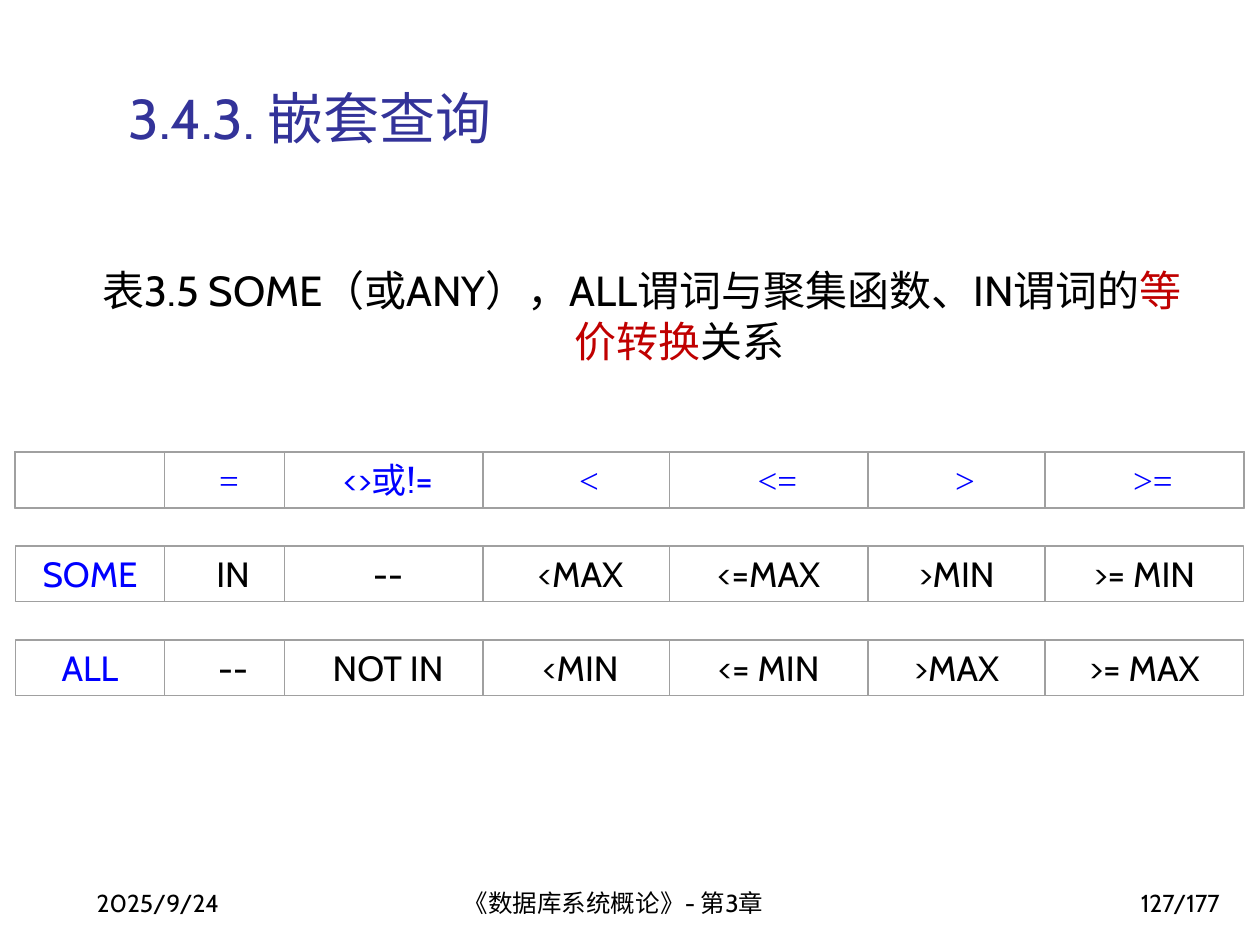
import itertools

import pptx
import pptx.dml.color
import pptx.enum.shapes
import pptx.enum.text
import pptx.util

Cm = pptx.util.Cm
Pt = pptx.util.Pt
ALIGN = pptx.enum.text.PP_ALIGN
ANCHOR = pptx.enum.text.MSO_ANCHOR

BLACK = pptx.dml.color.RGBColor(0x00, 0x00, 0x00)
BLUE = pptx.dml.color.RGBColor(0x00, 0x00, 0xFF)
RED = pptx.dml.color.RGBColor(0xC0, 0x00, 0x00)
INDIGO = pptx.dml.color.RGBColor(0x33, 0x33, 0x99)
GRAY = pptx.dml.color.RGBColor(0xA0, 0xA0, 0xA0)

SANS = "Cabin"
SERIF = "Times New Roman"

COLUMN_WIDTHS = [3.01, 2.42, 4, 3.76, 4, 3.57, 4]
ROW_HEIGHT = 1.12
ROW_PITCH = 1.89
CELL_GAP = 0.26
SIDE_INSET = 0.25
INSET_STEP = 0.17
HEADER_INSETS = [0, 1, 1, 3, 2, 2, 2]
BODY_INSETS = [0, 2, 1, 1, 0, 0, 0]
HEADER = ["", "=", "<>或!=", "<", "<=", ">", ">="]
BODY = [
    ["SOME", "IN", "--", "<MAX", "<=MAX", ">MIN", ">= MIN"],
    ["ALL", "--", "NOT IN", "<MIN", "<= MIN", ">MAX", ">= MAX"],
]


def add_text(page, box, spans, size=14, font=SANS, align=ALIGN.LEFT,
             anchor=ANCHOR.BOTTOM, hanging=0, inset=0):
    frame = page.shapes.add_textbox(*(Cm(length) for length in box)).text_frame
    frame.word_wrap = True
    frame.vertical_anchor = anchor
    frame.margin_left = Cm(SIDE_INSET + inset)
    frame.margin_right = Cm(SIDE_INSET)
    para = frame.paragraphs[0]
    para.alignment = align
    if hanging:
        properties = para._p.get_or_add_pPr()
        properties.set("marL", str(Cm(hanging)))
        properties.set("indent", str(-Cm(hanging)))
    for text, color in spans:
        span = para.add_run()
        span.text = text
        span.font.size = Pt(size)
        span.font.name = font
        span.font.color.rgb = color


def add_frame(page, box, line_width=0):
    frame = page.shapes.add_shape(
        pptx.enum.shapes.MSO_SHAPE.RECTANGLE, *(Cm(length) for length in box))
    frame.shadow.inherit = False
    frame.fill.background()
    frame.line.color.rgb = GRAY
    frame.line.width = Pt(line_width)


def add_cell(page, box, text, color, font, inset):
    left, top, width, height = box
    if text:
        add_text(page, (left + CELL_GAP, top, width - 2 * CELL_GAP, height),
                 [(text, color)], size=20, font=font, align=ALIGN.CENTER,
                 anchor=ANCHOR.TOP, inset=inset * INSET_STEP)
    add_frame(page, box)


def add_conversions(page, left, top):
    offsets = list(itertools.accumulate(COLUMN_WIDTHS, initial=left))
    for row, texts in enumerate([HEADER] + BODY):
        insets = BODY_INSETS if row else HEADER_INSETS
        for column, (text, inset) in enumerate(zip(texts, insets)):
            add_cell(
                page,
                (offsets[column], top + row * ROW_PITCH, COLUMN_WIDTHS[column], ROW_HEIGHT),
                text,
                color=BLACK if row and column else BLUE,
                font=SANS if row or "或" in text else SERIF,
                inset=inset,
            )
    add_frame(page, (left - 0.02, top - 0.02, sum(COLUMN_WIDTHS) + 0.04, ROW_HEIGHT + 0.02),
              line_width=0.87)


def add_footer(page, top, height):
    for left, width, text, align in [
        (1.7, 5.28, "2025/9/24", ALIGN.LEFT),
        (9.1, 8.05, "《数据库系统概论》- 第3章", ALIGN.LEFT),
        (19.56, 5.28, "127/177", ALIGN.RIGHT),
    ]:
        add_text(page, (left, top, width, height), [(text, BLACK)], align=align)


def main():
    deck = pptx.Presentation()
    deck.slide_width = Cm(25.4)
    deck.slide_height = Cm(19.05)
    page = deck.slides.add_slide(deck.slide_layouts[6])
    add_text(page, (2.34, 1.05, 22.5, 2.11), [("3.4.3. 嵌套查询", INDIGO)], size=32)
    add_text(page, (1.52, 5.21, 22.86, 1.55),
             [("表3.5 SOME（或ANY），ALL谓词与聚集函数、IN谓词的", BLACK),
              ("等价转换", RED), ("关系 ", BLACK)],
             size=24, align=ALIGN.CENTER, anchor=ANCHOR.TOP, hanging=1.7)
    add_conversions(page, 0.31, 9.12)
    add_footer(page, 17.35, 1.27)
    deck.save("out.pptx")


if __name__ == "__main__":
    main()
